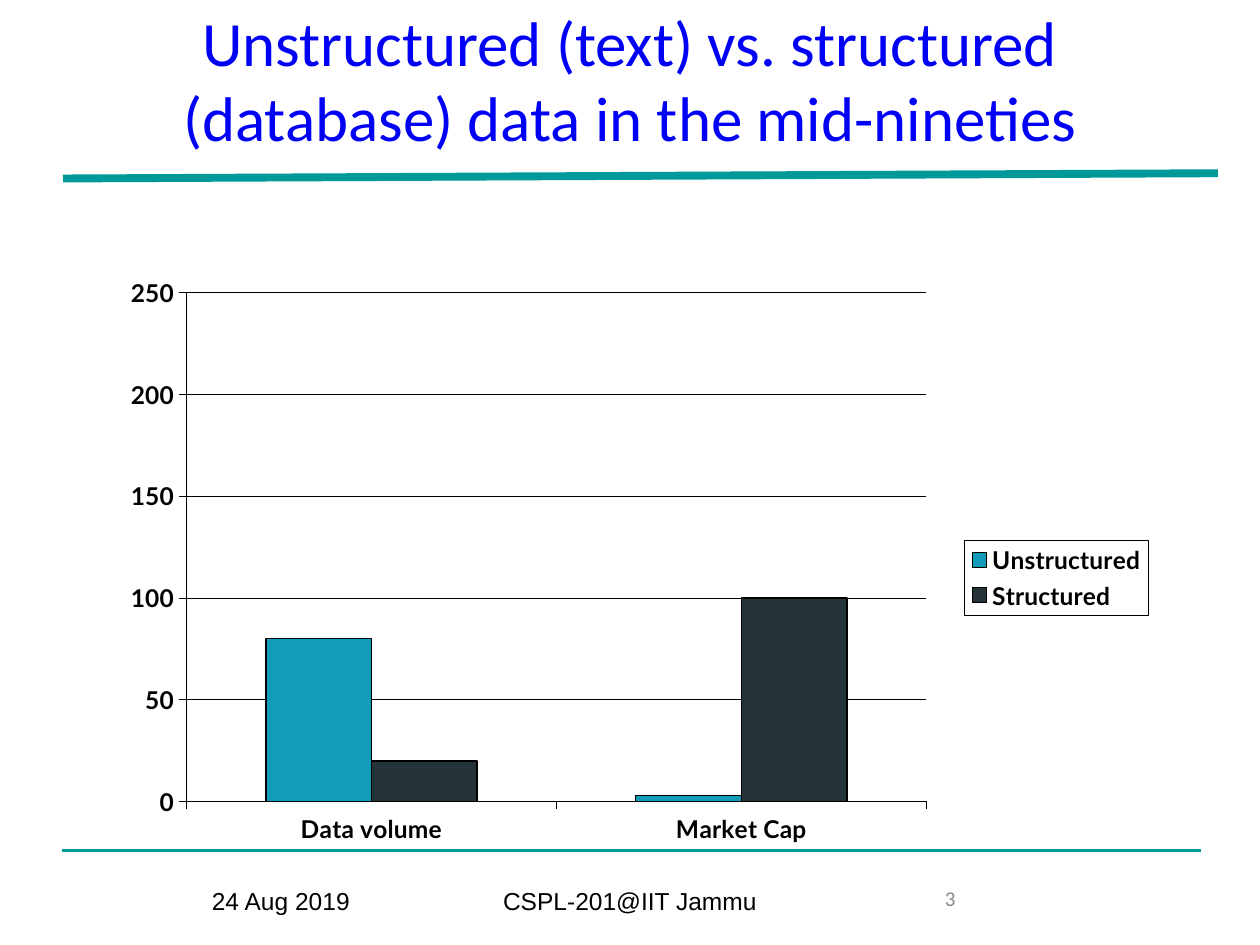
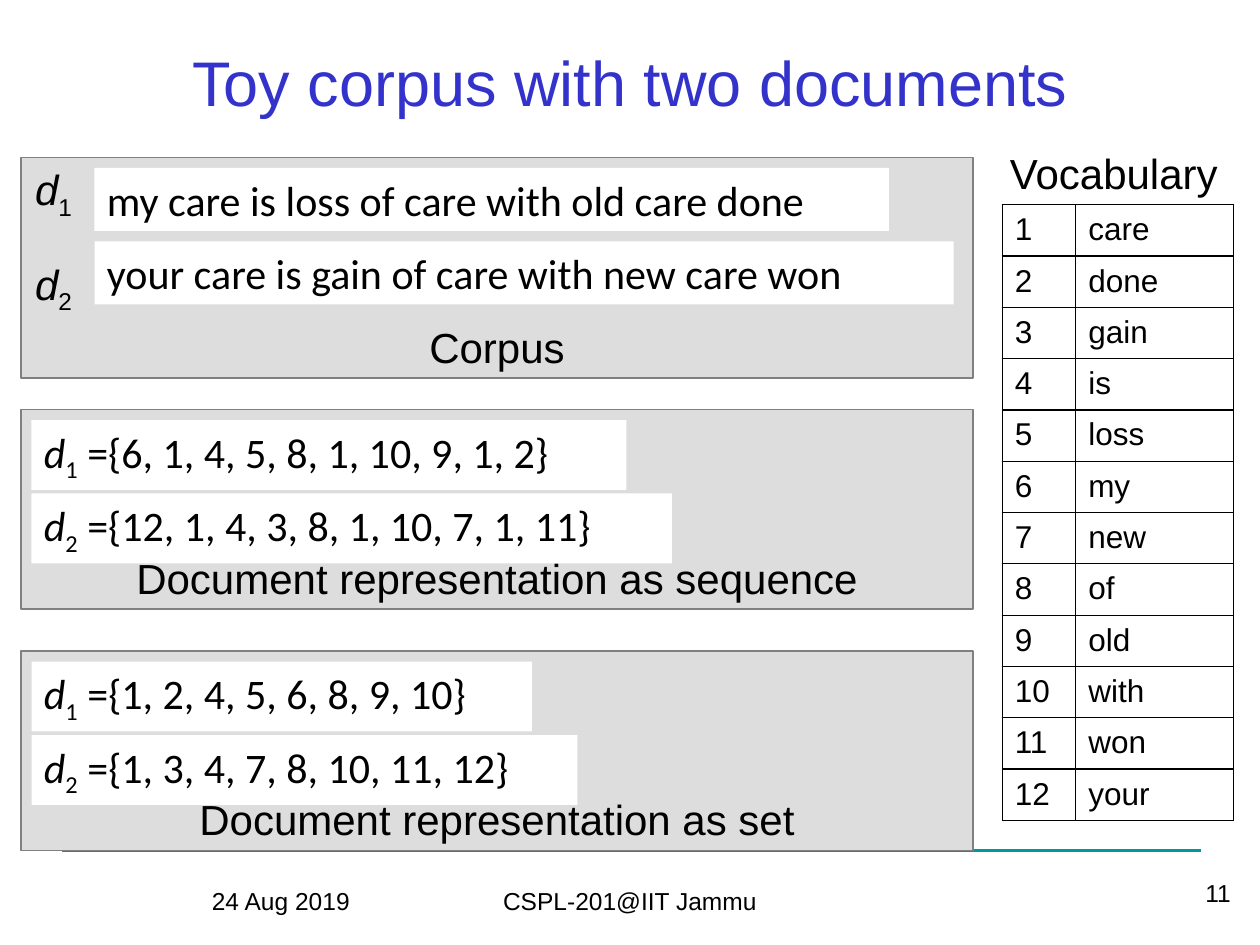
from lxml.etree import SubElement
from pptx import Presentation
from pptx.chart.data import CategoryChartData
from pptx.dml.color import RGBColor
from pptx.enum.chart import XL_CHART_TYPE as ChartType
from pptx.enum.chart import XL_LEGEND_POSITION as LegendPosition
from pptx.enum.chart import XL_TICK_LABEL_POSITION as LabelPosition
from pptx.enum.chart import XL_TICK_MARK as TickMark
from pptx.enum.shapes import MSO_CONNECTOR as Connector
from pptx.enum.shapes import MSO_SHAPE as Preset
from pptx.enum.text import MSO_ANCHOR as Anchor
from pptx.enum.text import PP_ALIGN as Align
from pptx.oxml import parse_xml
from pptx.oxml.ns import nsdecls, qn
from pptx.util import Pt

BLACK = RGBColor(0x00, 0x00, 0x00)
WHITE = RGBColor(0xFF, 0xFF, 0xFF)
TEAL = RGBColor(0x00, 0x99, 0x99)
TITLE_BLUE = RGBColor(0x00, 0x00, 0xF6)
TITLE_INDIGO = RGBColor(0x33, 0x33, 0xCC)
NUMBER_GRAY = RGBColor(0x89, 0x89, 0x89)
PANEL_GRAY = RGBColor(0xDD, 0xDD, 0xDD)
PANEL_EDGE = RGBColor(0x80, 0x80, 0x80)
BAR_BLUE = RGBColor(0x13, 0x9C, 0xB7)
BAR_DARK = RGBColor(0x23, 0x33, 0x37)

TITLE = {"size": Pt(36), "name": "Calibri", "color": TITLE_BLUE}
LABEL = {"size": Pt(24), "name": "Arial", "color": BLACK}
DOCUMENT = {"size": Pt(24), "name": "Calibri", "color": BLACK}
CELL = {"size": Pt(18), "name": "Arial", "color": BLACK}
FOOTER = {"size": Pt(14), "name": "Arial", "color": BLACK}
CHART_FONT = {"size": Pt(14), "name": "Lato", "color": BLACK, "bold": True}


def set_format(font, values):
    for name, value in values.items():
        if name == "color":
            font.fill.solid()
            font.fill.fore_color.rgb = value
        else:
            setattr(font, name, value)


def add_text(slide, bounds, text, style, fill=None, edge=None,
             align=Align.LEFT, anchor=Anchor.TOP, index=None):
    bounds = [Pt(length) for length in bounds]
    if fill is None:
        shape = slide.shapes.add_textbox(*bounds)
    else:
        shape = slide.shapes.add_shape(Preset.RECTANGLE, *bounds)
        shape.shadow.inherit = False
        shape.fill.solid()
        shape.fill.fore_color.rgb = fill
        shape.line.fill.background()
        if edge is not None:
            shape.line.color.rgb = edge
            shape.line.width = Pt(0.75)
    frame = shape.text_frame
    frame.word_wrap = True
    frame.vertical_anchor = anchor
    paragraph = frame.paragraphs[0]
    paragraph.alignment = align
    parts = [(text, {})]
    if index is not None:
        parts = [("d", {"italic": True}), (str(index), {}), (text, {})]
    for position, (words, extra) in enumerate(parts):
        if words:
            run = paragraph.add_run()
            run.text = words
            set_format(run.font, style | extra)
            if index is not None and position == 1:
                run._r.get_or_add_rPr().set("baseline", "-25000")


presentation = Presentation()
presentation.slide_width = Pt(720)
presentation.slide_height = Pt(540)
blank = presentation.slide_layouts[6]
chart_slide, corpus_slide = [presentation.slides.add_slide(blank) for _ in range(2)]

rules = [
    (chart_slide, (35.5, 486, 686.5, 486), 2.25),
    (corpus_slide, (35.5, 486, 686.5, 486), 2.25),
    (chart_slide, (36, 102, 696, 99), 4.5),
]
for slide, ends, width in rules:
    rule = slide.shapes.add_connector(Connector.STRAIGHT, *[Pt(end) for end in ends])
    rule.line.color.rgb = TEAL
    rule.line.width = Pt(width)
    SubElement(rule._element.spPr, qn("a:effectLst"))

for slide in (chart_slide, corpus_slide):
    add_text(slide, (114, 502.5, 102, 37.5), "24 Aug 2019", FOOTER)
    add_text(slide, (246, 502.5, 228, 37.5), "CSPL-201@IIT Jammu", FOOTER, align=Align.CENTER)

add_text(chart_slide, (36, 0, 648, 90),
         "Unstructured (text) vs. structured (database) data in the mid-nineties",
         TITLE, align=Align.CENTER, anchor=Anchor.MIDDLE)
add_text(chart_slide, (498, 502.5, 90, 37.5), "3",
         {"size": Pt(12), "name": "Calibri", "color": NUMBER_GRAY}, align=Align.CENTER)

chart_data = CategoryChartData()
chart_data.categories = ["Data volume", "Market Cap"]
chart_data.add_series("Unstructured", (80, 3))
chart_data.add_series("Structured", (20, 100))
chart = chart_slide.shapes.add_chart(
    ChartType.COLUMN_CLUSTERED, Pt(58.3), Pt(154.8), Pt(604), Pt(350.6), chart_data).chart
chart.has_title = False
set_format(chart.font, CHART_FONT)
chart.has_legend = True
chart.legend.position = LegendPosition.RIGHT
chart.legend.include_in_layout = False
set_format(chart.legend.font, CHART_FONT)
legend_border = parse_xml(
    f'<c:spPr {nsdecls("c", "a")}><a:ln w="2921"><a:solidFill>'
    f'<a:srgbClr val="{BLACK}"/></a:solidFill></a:ln></c:spPr>')
chart.legend._element.find(qn("c:txPr")).addprevious(legend_border)

plot = chart.plots[0]
plot.gap_width = 150
plot.overlap = 0
plot.vary_by_categories = False
for series, color in zip(plot.series, (BAR_BLUE, BAR_DARK)):
    series.format.fill.solid()
    series.format.fill.fore_color.rgb = color
    series.format.line.color.rgb = BLACK
    series.format.line.width = Pt(0.92)

value_axis = chart.value_axis
value_axis.minimum_scale = 0
value_axis.maximum_scale = 250
value_axis.major_unit = 50
value_axis.has_major_gridlines = True
chart.category_axis.tick_label_position = LabelPosition.LOW
for axis in (value_axis, chart.category_axis):
    axis.major_tick_mark = TickMark.OUTSIDE
    axis.minor_tick_mark = TickMark.NONE
    set_format(axis.tick_labels.font, CHART_FONT)
for element in (value_axis, chart.category_axis, value_axis.major_gridlines):
    element.format.line.color.rgb = BLACK
    element.format.line.width = Pt(0.23)

plot_area = chart._chartSpace.chart.plotArea
for old_layout in plot_area.findall(qn("c:layout")):
    plot_area.remove(old_layout)
layout = parse_xml(f'<c:layout {nsdecls("c")}><c:manualLayout/></c:layout>')
layout_values = {"layoutTarget": "inner", "xMode": "edge", "yMode": "edge",
                 "x": 0.08, "y": 0.035, "w": 0.7, "h": 0.83}
for name, value in layout_values.items():
    SubElement(layout[0], qn(f"c:{name}")).set("val", str(value))
plot_area.insert(0, layout)

add_text(corpus_slide, (24.5, 16.5, 671, 60), "Toy corpus with two documents",
         LABEL | {"size": Pt(36), "color": TITLE_INDIGO},
         align=Align.CENTER, anchor=Anchor.MIDDLE)

panels = [
    (90, 126, "Corpus"),
    (234, 114, "Document representation as sequence"),
    (372, 114, "Document representation as set"),
]
for top, height, caption in panels:
    add_text(corpus_slide, (12, top, 544, height), caption, LABEL, PANEL_GRAY, PANEL_EDGE,
             Align.CENTER, Anchor.BOTTOM)

documents = [
    (454, "my care is loss of care with old care done"),
    (491, "your care is gain of care with new care won"),
]
for index, (width, words) in enumerate(documents, 1):
    top = 42 + 48 * index
    add_text(corpus_slide, (54, top + (6 if index == 1 else 0), width, 36),
             words, DOCUMENT, WHITE)
    add_text(corpus_slide, (13, top + (0 if index == 1 else 6), 42, 40),
             "", LABEL, index=index)

representations = [
    (240, [(340, " ={6, 1, 4, 5, 8, 1, 10, 9, 1, 2}"),
           (366, " ={12, 1, 4, 3, 8, 1, 10, 7, 1, 11}")]),
    (378, [(286, " ={1, 2, 4, 5, 6, 8, 9, 10}"),
           (312, " ={1, 3, 4, 7, 8, 10, 11, 12}")]),
]
for top, vectors in representations:
    for index, (width, numbers) in enumerate(vectors, 1):
        add_text(corpus_slide, (18, top + 42 * (index - 1), width, 40),
                 numbers, DOCUMENT, WHITE, index=index)

add_text(corpus_slide, (570, 81, 134, 36), "Vocabulary", LABEL)
vocabulary = "care done gain is loss my new of old with won your".split()
table = corpus_slide.shapes.add_table(
    len(vocabulary), 2, Pt(572.7), Pt(117), Pt(132), Pt(29 * len(vocabulary))).table
table.first_row = False
table.horz_banding = False
for column, width in zip(table.columns, (42, 90)):
    column.width = Pt(width)
for row, word in enumerate(vocabulary):
    for column, text in enumerate((str(row + 1), word)):
        cell = table.cell(row, column)
        cell.margin_top = Pt(5.6)
        paragraph = cell.text_frame.paragraphs[0]
        paragraph.line_spacing = 0.93
        run = paragraph.add_run()
        run.text = text
        set_format(run.font, CELL)
        properties = cell._tc.get_or_add_tcPr()
        for side in ("lnL", "lnR", "lnT", "lnB"):
            properties.append(parse_xml(
                f'<a:{side} {nsdecls("a")} w="9525"><a:solidFill>'
                f'<a:srgbClr val="{BLACK}"/></a:solidFill></a:{side}>'))
        cell.fill.background()

add_text(corpus_slide, (667.4, 489.5, 43, 41), "11", FOOTER,
         align=Align.RIGHT, anchor=Anchor.MIDDLE)

presentation.save("out.pptx")
